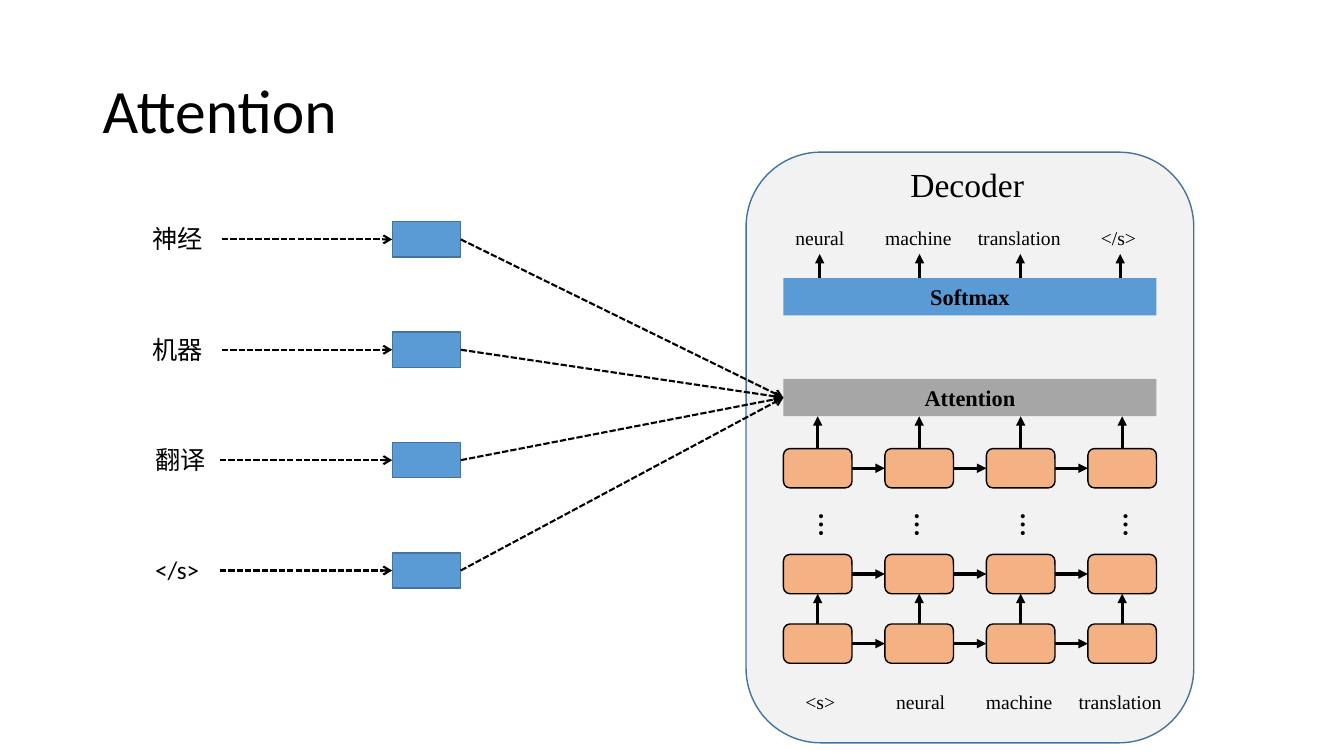
"""Build the slide that shows how attention links source words to a decoder."""
import lxml.etree
import pptx
import pptx.dml.color
import pptx.enum.dml
import pptx.enum.shapes
import pptx.enum.text
import pptx.oxml.ns
import pptx.util

BLACK = pptx.dml.color.RGBColor(0x00, 0x00, 0x00)
BLUE = pptx.dml.color.RGBColor(0x5B, 0x9B, 0xD5)
NAVY = pptx.dml.color.RGBColor(0x43, 0x73, 0x9E)
ORANGE = pptx.dml.color.RGBColor(0xF4, 0xB1, 0x83)
GRAY = pptx.dml.color.RGBColor(0xA6, 0xA6, 0xA6)
PALE = pptx.dml.color.RGBColor(0xF2, 0xF2, 0xF2)
SERIF, SANS = "Times New Roman", "Calibri"
RECT = pptx.enum.shapes.MSO_SHAPE.RECTANGLE
ROUND = pptx.enum.shapes.MSO_SHAPE.ROUNDED_RECTANGLE
MIDDLE = pptx.enum.text.MSO_ANCHOR.MIDDLE
CENTER = pptx.enum.text.PP_ALIGN.CENTER
TOP, LEFT, BOTTOM, RIGHT = range(4)
SOLID = {"width": pptx.util.Pt(2.25)}
DASHED = {"width": pptx.util.Pt(1.5),
          "dash_style": pptx.enum.dml.MSO_LINE.SQUARE_DOT}

deck = pptx.Presentation()
deck.slide_width = pptx.util.Inches(13.33)
deck.slide_height = pptx.util.Inches(7.5)
page = deck.slides.add_slide(deck.slide_layouts[6])


def add_box(place, text="", size=14, face=SERIF, kind=None, fill=None, line=None):
    """Add a text label, or a filled shape when a kind is given."""
    area = [pptx.util.Inches(length) for length in place]
    if kind is None:
        box = page.shapes.add_textbox(*area)
        box.text_frame.auto_size = pptx.enum.text.MSO_AUTO_SIZE.SHAPE_TO_FIT_TEXT
    else:
        box = page.shapes.add_shape(kind, *area)
        box.shadow.inherit = False
        box.fill.solid()
        box.fill.fore_color.rgb = fill
        if line is None:
            box.line.fill.background()
        else:
            box.line.color.rgb = line
            box.line.width = pptx.util.Pt(1)
        box.text_frame.vertical_anchor = MIDDLE
        box.text_frame.paragraphs[0].alignment = CENTER
    box.text_frame.word_wrap = True
    if text:
        span = box.text_frame.paragraphs[0].add_run()
        span.text = text
        looks = {"size": pptx.util.Pt(size), "name": face, "bold": kind is not None}
        for name, value in looks.items():
            setattr(span.font, name, value)
        span.font.color.rgb = BLACK
    return box


def add_arrow(start, end, looks, head, source=None, target=None):
    """Draw an arrow and join it to the (box, side) pairs that are given."""
    ends = [pptx.util.Inches(length) for length in (*start, *end)]
    arrow = page.shapes.add_connector(pptx.enum.shapes.MSO_CONNECTOR.STRAIGHT, *ends)
    arrow.line.color.rgb = BLACK
    for name, value in looks.items():
        setattr(arrow.line, name, value)
    outline = arrow.element.spPr.find(pptx.oxml.ns.qn("a:ln"))
    lxml.etree.SubElement(outline, pptx.oxml.ns.qn("a:tailEnd"), type=head)
    lxml.etree.SubElement(arrow.element.spPr, pptx.oxml.ns.qn("a:effectLst"))
    if source:
        arrow.begin_connect(*source)
    if target:
        arrow.end_connect(*target)


title = add_box((0.92, 0.4, 11.5, 1.45), "Attention", 44, SANS)
title.text_frame.auto_size = pptx.enum.text.MSO_AUTO_SIZE.NONE
title.text_frame.vertical_anchor = MIDDLE
title.text_frame.paragraphs[0].line_spacing = 0.9

add_box((7.4, 1.51, 4.44, 5.86), kind=ROUND, fill=PALE, line=NAVY)
add_box((8.93, 1.58, 1.37, 0.5), "Decoder", 24)

bar_left, bar_width, bar_height = 7.77, 3.7, 0.37
cell_width, cell_height, columns = 0.68, 0.39, 4
column_step = (bar_width - cell_width) / (columns - 1)
lefts = [bar_left + column * column_step for column in range(columns)]
centers = [left + cell_width / 2 for left in lefts]
softmax_top, attention_top = 2.76, 3.76
attention_bottom = attention_top + bar_height

add_box((bar_left, softmax_top, bar_width, bar_height), "Softmax", 16,
        kind=RECT, fill=BLUE)
attention = add_box((bar_left, attention_top, bar_width, bar_height), "Attention", 16,
                    kind=RECT, fill=GRAY)

layers = []
for top in (4.45, 5.5, 6.19):
    cells = [add_box((left, top, cell_width, cell_height),
                     kind=ROUND, fill=ORANGE, line=BLACK) for left in lefts]
    middle = top + cell_height / 2
    for column in range(columns - 1):
        add_arrow((lefts[column] + cell_width, middle), (lefts[column + 1], middle),
                  SOLID, "triangle", (cells[column], RIGHT), (cells[column + 1], LEFT))
    layers.append(cells)

upper, lower, base = layers
for center, first, second, third in zip(centers, upper, lower, base):
    add_arrow((center, 4.45), (center, attention_bottom), SOLID, "triangle",
              (first, TOP))
    add_arrow((center, 6.19), (center, 5.89), SOLID, "triangle",
              (third, TOP), (second, BOTTOM))

for left in (7.9, 8.85, 9.9, 10.92):
    dots = add_box((left, 5, 0.61, 0.4), "…", 24, SANS)
    dots.element.txBody.find(pptx.oxml.ns.qn("a:bodyPr")).set("vert", "eaVert")

for center in (8.13, 9.12, 10.12, 11.11):
    add_arrow((center, softmax_top), (center, 2.52), SOLID, "triangle")

word_rows = {
    2.19: [("neural", 7.79, 0.74), ("machine", 8.68, 0.9),
           ("translation", 9.6, 1.06), ("</s>", 10.82, 0.64)],
    6.8: [("<s>", 7.89, 0.64), ("neural", 8.79, 0.74),
          ("machine", 9.68, 0.9), ("translation", 10.6, 1.06)],
}
for top, words in word_rows.items():
    for word, left, width in words:
        add_box((left, top, width, 0.34), word)

state_left, state_width, state_height = 3.89, 0.68, 0.35
source_words = [("神经", 1.41, 0.79), ("机器", 1.41, 0.79),
                ("翻译", 1.44, 0.74), ("</s>", 1.44, 0.74)]
for row, (word, left, width) in enumerate(source_words):
    top = 2.2 + row * 1.095
    middle = top + state_height / 2
    add_box((left, top - 0.03, width, 0.4), word, 18, SANS)
    state = add_box((state_left, top, state_width, state_height),
                    kind=RECT, fill=BLUE, line=NAVY)
    add_arrow((left + width, middle), (state_left, middle), DASHED, "arrow",
              target=(state, LEFT))
    add_arrow((state_left + state_width, middle),
              (bar_left, attention_top + bar_height / 2), DASHED, "arrow",
              (state, RIGHT), (attention, LEFT))

deck.save("out.pptx")
